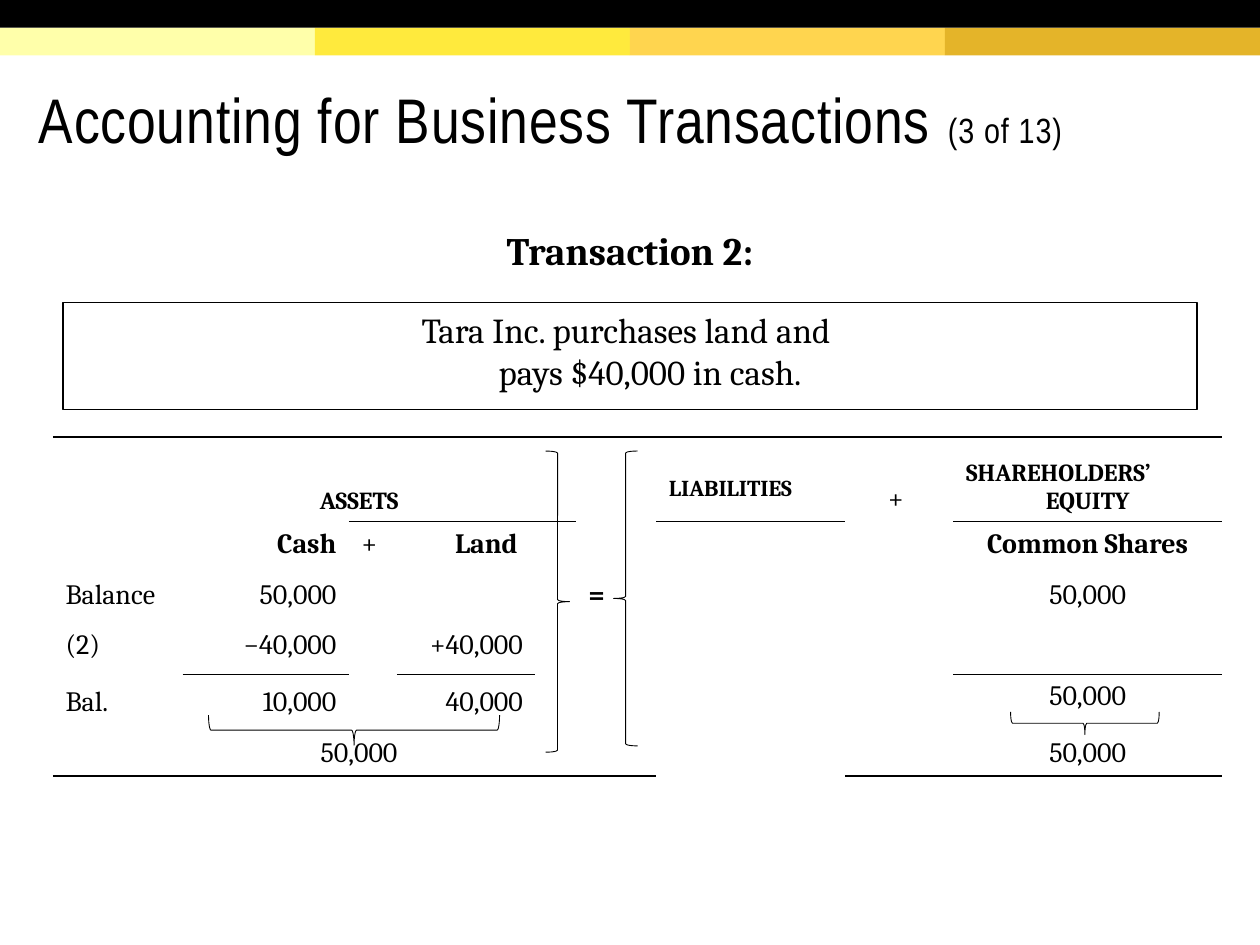
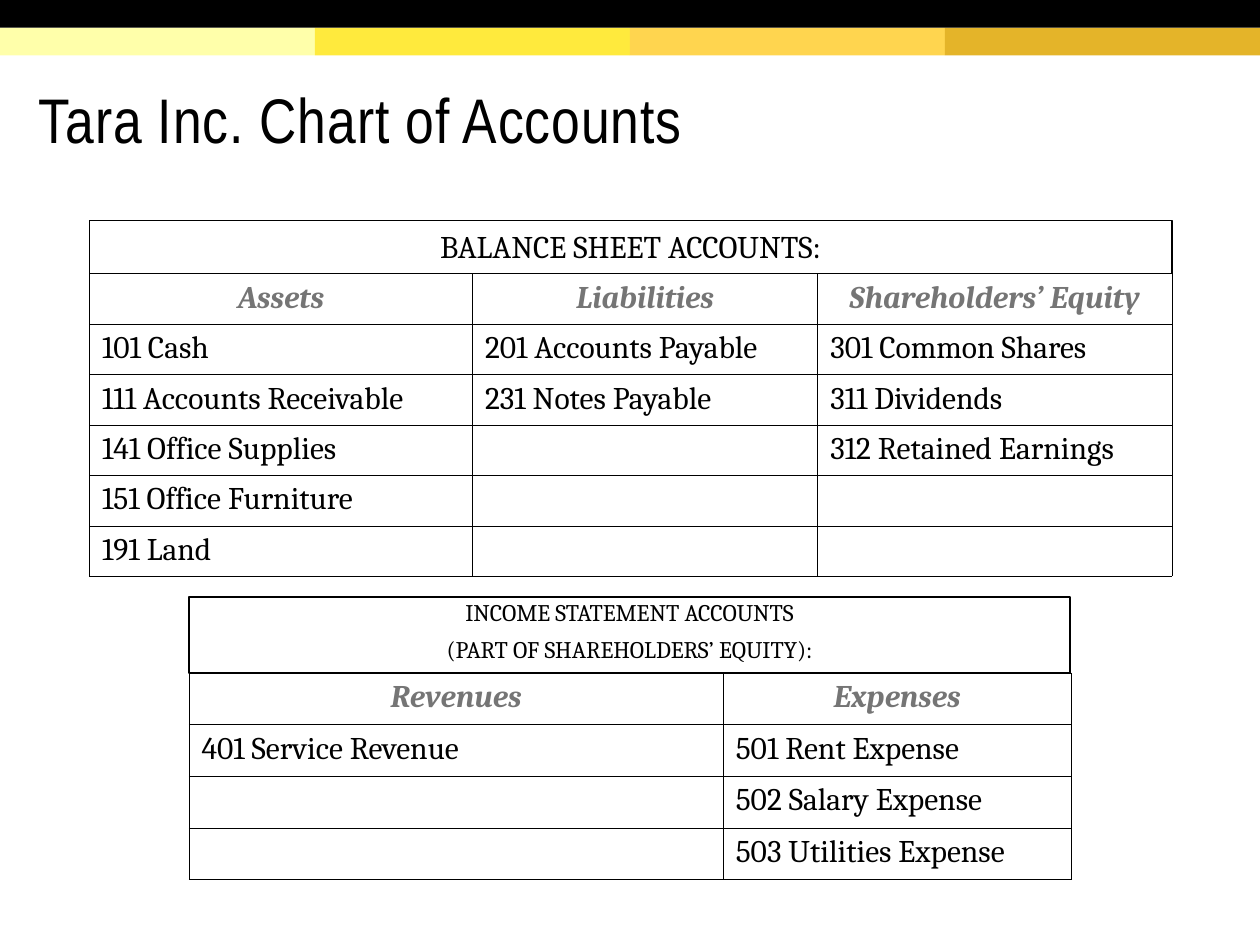
"""Build two accounting slides: a transaction analysis and a chart of accounts."""
import dataclasses

import lxml.etree
import pptx
import pptx.dml.color
import pptx.enum.shapes
import pptx.enum.text
import pptx.oxml.ns
import pptx.util

Inches = pptx.util.Inches
Pt = pptx.util.Pt
Align = pptx.enum.text.PP_ALIGN
Anchor = pptx.enum.text.MSO_ANCHOR
Shape = pptx.enum.shapes.MSO_SHAPE
qn = pptx.oxml.ns.qn

NO_TABLE_STYLE = "{2D5ABB26-0587-4C30-8999-92F81FD0307C}"


@dataclasses.dataclass(frozen=True)
class Theme:
    black: str = "000000"
    gray: str = "757575"
    bands: tuple = ("FFFFAA", "FFEA3D", "FFD54F", "E4B429")
    title_font: str = "Arial Narrow"
    body_font: str = "Cambria"
    title_size: float = 36
    counter_size: float = 20
    heading_size: float = 22.2
    statement_size: float = 20
    account_size: float = 18
    entry_size: float = 16
    group_size: float = 14
    liabilities_size: float = 13
    income_size: float = 13.6
    box_line: float = 1
    grid_line: float = 0.25
    brace_line: float = 0.5


THEME = Theme()


@dataclasses.dataclass(frozen=True)
class Style:
    size: float
    font: str = THEME.body_font
    color: str = THEME.black
    bold: bool = False
    italic: bool = False
    align: Align = Align.LEFT
    spacing: float = 1.0
    after: float = 0
    hanging: float = 0
    tracking: int = 0


TITLE = Style(THEME.title_size, THEME.title_font, spacing=0.85, tracking=50)
COUNTER = dataclasses.replace(TITLE, size=THEME.counter_size)
HEADING = Style(THEME.heading_size, bold=True, align=Align.CENTER, spacing=0.8, hanging=0.32)
STATEMENT = Style(THEME.statement_size, align=Align.CENTER, hanging=0.32)
BALANCE_HEADING = dataclasses.replace(STATEMENT, size=THEME.account_size)
INCOME_HEADING = Style(THEME.income_size, align=Align.CENTER, spacing=0.8, after=8)
ACCOUNT = Style(THEME.account_size)
ACCOUNT_HEADING = Style(THEME.account_size, color=THEME.gray, bold=True, italic=True,
                        align=Align.CENTER)
ENTRY = Style(THEME.entry_size)
AMOUNT = dataclasses.replace(ENTRY, align=Align.RIGHT)
TOTAL = dataclasses.replace(ENTRY, align=Align.CENTER)
COLUMN = dataclasses.replace(TOTAL, bold=True)
GROUP = Style(THEME.group_size, bold=True, align=Align.CENTER)


def rgb(color):
    """Turn a hex string into a colour."""
    return pptx.dml.color.RGBColor.from_string(color)


def add_span(para, text, style):
    """Add one formatted run."""
    span = para.add_run()
    span.text = text
    span.font.name = style.font
    span.font.size = Pt(style.size)
    span.font.bold = style.bold
    span.font.italic = style.italic
    span.font.color.rgb = rgb(style.color)
    if style.tracking:
        span._r.get_or_add_rPr().set("spc", str(style.tracking))


def format_paragraph(para, style):
    """Apply alignment, spacing and hanging indent."""
    para.alignment = style.align
    para.line_spacing = style.spacing
    para.space_after = Pt(style.after)
    if style.hanging:
        properties = para._p.get_or_add_pPr()
        properties.set("marL", str(Inches(style.hanging)))
        properties.set("indent", str(-Inches(style.hanging)))


def write(frame, *lines):
    """Write (text, style) pairs as paragraphs; a newline is a line break."""
    for index, (text, style) in enumerate(lines):
        para = frame.add_paragraph() if index else frame.paragraphs[0]
        format_paragraph(para, style)
        for part_index, part in enumerate(text.split("\n")):
            if part_index:
                para.add_line_break()
            add_span(para, part, style)


def add_bar(page, left, top, width, height, color):
    """Add a filled rectangle without outline."""
    bar = page.shapes.add_shape(Shape.RECTANGLE, Inches(left), Inches(top),
                                Inches(width), Inches(height))
    bar.shadow.inherit = False
    bar.fill.solid()
    bar.fill.fore_color.rgb = rgb(color)
    bar.line.fill.background()


def add_text(page, left, top, width, height, *lines, framed=False):
    """Add a text box, framed if asked."""
    box = page.shapes.add_textbox(Inches(left), Inches(top), Inches(width), Inches(height))
    box.text_frame.word_wrap = True
    if framed:
        box.line.color.rgb = rgb(THEME.black)
        box.line.width = Pt(THEME.box_line)
    write(box.text_frame, *lines)
    return box


def add_page(deck, title, counter=""):
    """Add a blank page with the bands and a title."""
    page = deck.slides.add_slide(deck.slide_layouts[6])
    for index, color in enumerate(THEME.bands):
        add_bar(page, index * 2.5, 0.22, 2.5, 0.22, color)
    add_bar(page, 0, 0, 10, 0.22, THEME.black)
    box = add_text(page, 0.21, 0.47, 9.49, 0.98, (title, TITLE))
    box.text_frame.margin_top = Inches(0.1)
    box.text_frame.vertical_anchor = Anchor.MIDDLE
    if counter:
        add_span(box.text_frame.paragraphs[0], counter, COUNTER)
    return page


def add_brace(page, kind, left, top, width, height, rotation=0):
    """Add a thin brace."""
    brace = page.shapes.add_shape(kind, Inches(left), Inches(top), Inches(width), Inches(height))
    brace.rotation = rotation
    brace.shadow.inherit = False
    brace.fill.background()
    brace.line.color.rgb = rgb(THEME.black)
    brace.line.width = Pt(THEME.brace_line)


def set_borders(cell, sides, points):
    """Draw the named sides (L, R, T, B) of a cell and leave it unfilled."""
    properties = cell._tc.get_or_add_tcPr()
    for side in "LRTB":
        line = lxml.etree.SubElement(properties, qn(f"a:ln{side}"))
        if side in sides:
            line.set("w", str(Pt(points)))
            fill = lxml.etree.SubElement(line, qn("a:solidFill"))
            lxml.etree.SubElement(fill, qn("a:srgbClr")).set("val", THEME.black)
        else:
            lxml.etree.SubElement(line, qn("a:noFill"))
    cell.fill.background()


def add_table(page, left, top, widths, heights, entries, sides_of, points, merges=()):
    """Add a table from entries keyed by (row, column)."""
    table = page.shapes.add_table(len(heights), len(widths), Inches(left), Inches(top),
                                  Inches(sum(widths)), Inches(sum(heights))).table
    table.first_row = table.horz_banding = False
    table._tbl.tblPr.find(qn("a:tableStyleId")).text = NO_TABLE_STYLE
    for column, width in zip(table.columns, widths):
        column.width = Inches(width)
    for row, height in zip(table.rows, heights):
        row.height = Inches(height)
    for first, last in merges:
        table.cell(*first).merge(table.cell(*last))
    for row in range(len(heights)):
        for column in range(len(widths)):
            cell = table.cell(row, column)
            set_borders(cell, sides_of(row, column), points)
            if (row, column) in entries:
                write(cell.text_frame, *entries[row, column])
            else:
                cell.margin_top = cell.margin_bottom = 0
    return table


def add_accounts(page, left, top, widths, height, rows):
    """Add a ruled list of accounts below a row of headings."""
    entries = {(row, column): [(text, ACCOUNT if row else ACCOUNT_HEADING)]
               for row, texts in enumerate(rows)
               for column, text in enumerate(texts) if text}
    add_table(page, left, top, widths, [height] * len(rows), entries,
              lambda row, column: "LRTB", THEME.grid_line)


def equation_sides(row, column):
    """Name the ruled sides of a cell in the accounting equation."""
    ruled_tops = {0: range(12), 1: (2, 3, 4, 7, 11), 4: (1, 3, 11)}
    top = "T" if column in ruled_tops.get(row, ()) else ""
    return top + ("B" if row == 5 else "")


def add_equation(page):
    """Add the accounting equation table."""
    widths = [1.03, 1.32, 0.38, 1.1, 0.32, 0.4, 0.23, 1.5, 0.23, 0.38, 0.23, 2.13]
    heights = [0.67] + [(2.69 - 0.67) / 5] * 5
    entries = {
        (0, 1): [("ASSETS", GROUP)],
        (0, 7): [("LIABILITIES", Style(THEME.liabilities_size, bold=True))],
        (0, 9): [("+", ENTRY)],
        (0, 11): [("SHAREHOLDERS’", dataclasses.replace(GROUP, align=Align.LEFT)),
                  ("EQUITY", GROUP)],
        (1, 0): [("Cash", dataclasses.replace(AMOUNT, bold=True))],
        (1, 2): [("+", ENTRY)],
        (1, 3): [("Land", COLUMN)],
        (1, 11): [("Common Shares", COLUMN)],
        (2, 0): [("Balance", ENTRY)],
        (2, 1): [("50,000", AMOUNT)],
        (2, 5): [("=", dataclasses.replace(ENTRY, bold=True))],
        (2, 11): [("50,000", TOTAL)],
        (3, 0): [("(2)", ENTRY)],
        (3, 1): [("−40,000", AMOUNT)],
        (3, 3): [("+40,000", AMOUNT)],
        (4, 0): [("Bal.", ENTRY)],
        (4, 1): [("10,000", AMOUNT)],
        (4, 3): [("40,000", AMOUNT)],
        (4, 11): [("50,000", TOTAL)],
        (5, 1): [("50,000", TOTAL)],
        (5, 11): [("50,000", TOTAL)],
    }
    merges = [((0, 1), (0, 3)), ((1, 0), (1, 1)), ((1, 3), (1, 4)),
              ((1, 7), (5, 7)), ((5, 1), (5, 3))]
    table = add_table(page, 0.42, 3.47, widths, heights, entries, equation_sides,
                      THEME.box_line, merges)
    for place in [(0, 1), (0, 9), (0, 11), (4, 0), (4, 1), (4, 3), (5, 1), (5, 11)]:
        table.cell(*place).vertical_anchor = Anchor.BOTTOM
    table.cell(0, 7).margin_top = Inches(0.31)


def add_transaction_page(deck):
    """Add the page that analyses the second transaction."""
    page = add_page(deck, "Accounting for Business Transactions ", "(3 of 13)")
    add_text(page, 0.5, 1.82, 9, 0.43, ("Transaction 2:", HEADING))
    add_text(page, 0.5, 2.4, 9, 0.85,
             ("Tara Inc. purchases land and \npays $40,000 in cash.", STATEMENT), framed=True)
    add_equation(page)
    add_brace(page, Shape.LEFT_BRACE, 2.69, 4.64, 0.24, 2.31, 270)
    add_brace(page, Shape.RIGHT_BRACE, 4.33, 3.58, 0.19, 2.39)
    add_brace(page, Shape.LEFT_BRACE, 4.87, 3.58, 0.19, 2.34)
    add_brace(page, Shape.RIGHT_BRACE, 8.52, 5.15, 0.18, 1.18, 90)


def add_accounts_page(deck):
    """Add the page that lists the accounts."""
    page = add_page(deck, "Tara Inc. Chart of Accounts")
    add_text(page, 0.71, 1.75, 8.59, 0.42,
             ("BALANCE SHEET ACCOUNTS:", BALANCE_HEADING), framed=True)
    add_accounts(page, 0.71, 2.17, [3.04, 2.74, 2.81], 0.39, [
        ("Assets", "Liabilities", "Shareholders’ Equity"),
        ("101 Cash", "201 Accounts Payable", "301 Common Shares"),
        ("111 Accounts Receivable", "231 Notes Payable", "311 Dividends"),
        ("141 Office Supplies", "", "312 Retained Earnings"),
        ("151 Office Furniture", "", ""),
        ("191 Land", "", ""),
    ])
    add_text(page, 1.5, 4.74, 6.99, 0.6, ("INCOME STATEMENT ACCOUNTS", INCOME_HEADING),
             ("(PART OF SHAREHOLDERS’ EQUITY):", INCOME_HEADING), framed=True)
    add_accounts(page, 1.5, 5.34, [4.24, 2.76], 0.41, [
        ("Revenues", "Expenses"),
        ("401 Service Revenue", "501 Rent Expense"),
        ("", "502 Salary Expense"),
        ("", "503 Utilities Expense"),
    ])


def main():
    """Build and save the deck."""
    deck = pptx.Presentation()
    deck.slide_width, deck.slide_height = Inches(10), Inches(7.5)
    add_transaction_page(deck)
    add_accounts_page(deck)
    deck.save("out.pptx")


if __name__ == "__main__":
    main()
